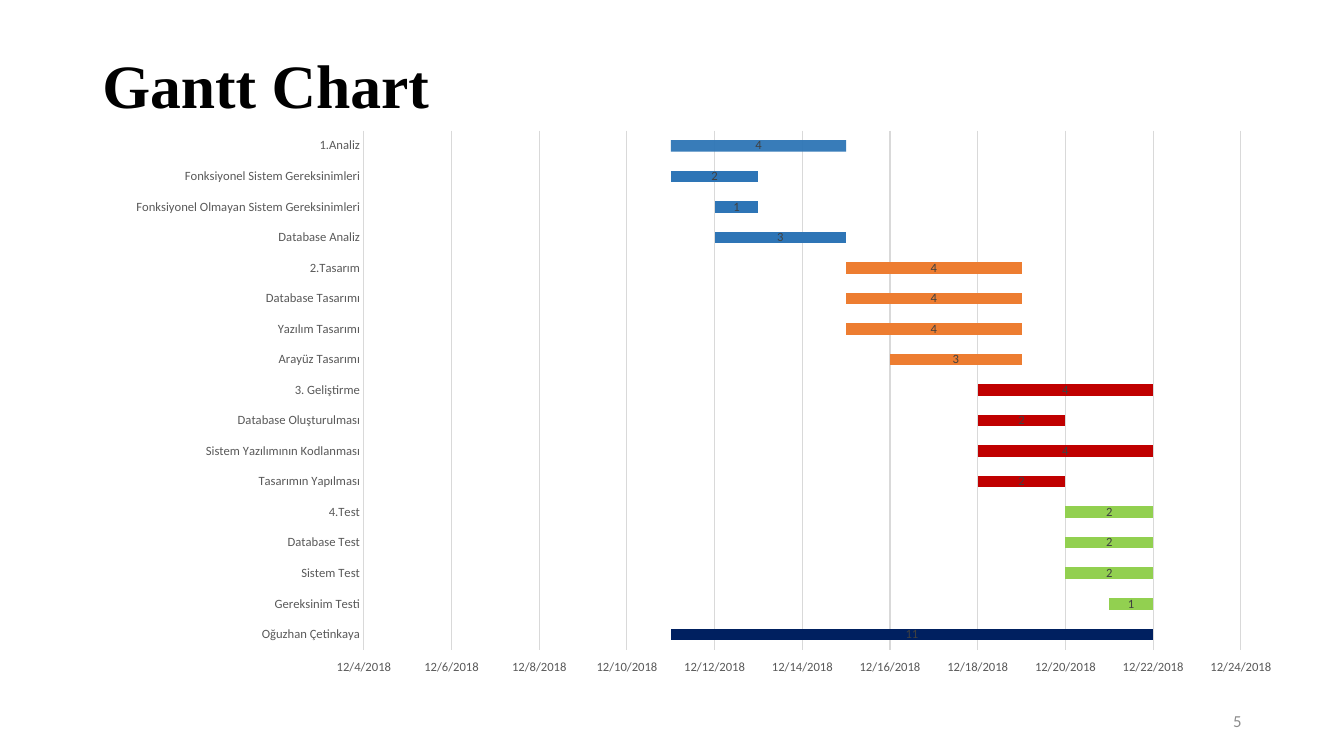
import pptx
import pptx.chart.data
import pptx.dml.color
import pptx.enum.chart
import pptx.enum.text
import pptx.oxml
import pptx.oxml.ns
import pptx.util
from pptx.util import Cm

COLORS = {
    "title": "000000", "page": "8C8C8C", "axis": "595959", "grid": "D9D9D9",
    "label": "404040", "analysis": "2E75B6", "design": "ED7D31",
    "development": "C00000", "test": "92D050", "project": "002060",
}

# Date serial number of the day before 1 December 2018
NOVEMBER_30 = 43434

# Task, first day in December 2018, duration in days, phase
TASKS = [
    ("1.Analiz", 11, 4, "analysis"),
    ("Fonksiyonel Sistem Gereksinimleri", 11, 2, "analysis"),
    ("Fonksiyonel Olmayan Sistem Gereksinimleri", 12, 1, "analysis"),
    ("Database Analiz", 12, 3, "analysis"),
    ("2.Tasarım", 15, 4, "design"),
    ("Database Tasarımı", 15, 4, "design"),
    ("Yazılım Tasarımı", 15, 4, "design"),
    ("Arayüz Tasarımı", 16, 3, "design"),
    ("3. Geliştirme", 18, 4, "development"),
    ("Database Oluşturulması", 18, 2, "development"),
    ("Sistem Yazılımının Kodlanması", 18, 4, "development"),
    ("Tasarımın Yapılması", 18, 2, "development"),
    ("4.Test", 20, 2, "test"),
    ("Database Test", 20, 2, "test"),
    ("Sistem Test", 20, 2, "test"),
    ("Gereksinim Testi", 21, 1, "test"),
    ("Oğuzhan Çetinkaya", 11, 11, "project"),
]


def rgb(name):
    return pptx.dml.color.RGBColor.from_string(COLORS[name])


def style_font(font, size, color, family="Calibri", bold=False):
    font.size = pptx.util.Pt(size)
    font.name = family
    font.bold = bold
    font.color.rgb = rgb(color)


def style_line(line, color):
    line.color.rgb = rgb(color)
    line.width = pptx.util.Pt(0.75)


def add_text(slide, text, left, top, width, height, align, **font):
    frame = slide.shapes.add_textbox(left, top, width, height).text_frame
    frame.word_wrap = True
    frame.vertical_anchor = pptx.enum.text.MSO_ANCHOR.MIDDLE
    paragraph = frame.paragraphs[0]
    paragraph.text = text
    paragraph.alignment = align
    style_font(paragraph.font, **font)
    return paragraph


def set_plot_layout(chart, x, y, w, h):
    plot_area = chart.plots[0]._element.getparent()
    for old in plot_area.findall(pptx.oxml.ns.qn("c:layout")):
        plot_area.remove(old)
    sizes = "".join(f'<c:{key} val="{value}"/>'
                    for key, value in zip("xywh", (x, y, w, h)))
    plot_area.insert(0, pptx.oxml.parse_xml(
        f'<c:layout {pptx.oxml.ns.nsdecls("c")}><c:manualLayout>'
        '<c:layoutTarget val="inner"/><c:xMode val="edge"/><c:yMode val="edge"/>'
        f'{sizes}</c:manualLayout></c:layout>'))


def set_opacity(fill, percent):
    color = fill._xPr.find(".//" + pptx.oxml.ns.qn("a:srgbClr"))
    color.append(pptx.oxml.parse_xml(
        f'<a:alpha {pptx.oxml.ns.nsdecls("a")} val="{percent * 1000}"/>'))


def style_axes(chart):
    tasks, dates = chart.category_axis, chart.value_axis
    for axis in (tasks, dates):
        axis.major_tick_mark = pptx.enum.chart.XL_TICK_MARK.NONE
        axis.minor_tick_mark = pptx.enum.chart.XL_TICK_MARK.NONE
        style_font(axis.tick_labels.font, 9, "axis")

    # First task on top, dates along the bottom
    tasks.reverse_order = True
    dates.tick_label_position = pptx.enum.chart.XL_TICK_LABEL_POSITION.HIGH
    tasks.has_major_gridlines = False
    style_line(tasks.format.line, "grid")

    dates.minimum_scale = NOVEMBER_30 + 4
    dates.maximum_scale = NOVEMBER_30 + 24
    dates.major_unit = 2
    dates.tick_labels.number_format = "m/d/yyyy"
    dates.tick_labels.number_format_is_linked = False
    dates.format.line.fill.background()
    dates.has_major_gridlines = True
    style_line(dates.major_gridlines.format.line, "grid")


def add_gantt(slide, left, top, width, height):
    names, days, durations, phases = zip(*TASKS)
    data = pptx.chart.data.CategoryChartData()
    data.categories = names
    data.add_series("Series 1", [NOVEMBER_30 + day for day in days])
    data.add_series("Series 2", durations)
    chart = slide.shapes.add_chart(
        pptx.enum.chart.XL_CHART_TYPE.BAR_STACKED,
        left, top, width, height, data).chart
    chart.has_title = False
    chart.has_legend = False
    style_font(chart.font, 10, "title")
    style_axes(chart)
    set_plot_layout(chart, 0.225, 0.026, 0.727, 0.918)

    plot = chart.plots[0]
    plot.vary_by_categories = False
    plot.gap_width = 164
    plot.overlap = 100

    # Invisible offset up to the first day, then the coloured duration
    offset, duration = plot.series
    offset.format.fill.background()
    duration.format.fill.solid()
    duration.format.fill.fore_color.rgb = rgb("design")
    for index, phase in enumerate(phases):
        if phase != "design":
            fill = duration.points[index].format.fill
            fill.solid()
            fill.fore_color.rgb = rgb(phase)
    set_opacity(duration.points[0].format.fill, 95)

    duration.data_labels.show_value = True
    style_font(duration.data_labels.font, 9, "label")


def main():
    deck = pptx.Presentation()
    deck.slide_width, deck.slide_height = Cm(33.87), Cm(19.05)
    slide = deck.slides.add_slide(deck.slide_layouts[6])
    align = pptx.enum.text.PP_ALIGN

    # Title
    title = add_text(slide, "Gantt Chart", Cm(2.33), Cm(1.01), Cm(29.21), Cm(2.42),
                     align.LEFT, size=44, color="title",
                     family="Times New Roman", bold=True)
    title.line_spacing = 0.9

    # Schedule
    add_gantt(slide, Cm(2.33), Cm(2.92), Cm(30.4), Cm(14.25))

    # Page number
    add_text(slide, "5", Cm(23.92), Cm(17.65), Cm(7.62), Cm(1.01),
             align.RIGHT, size=12, color="page")

    deck.save("out.pptx")


main()
